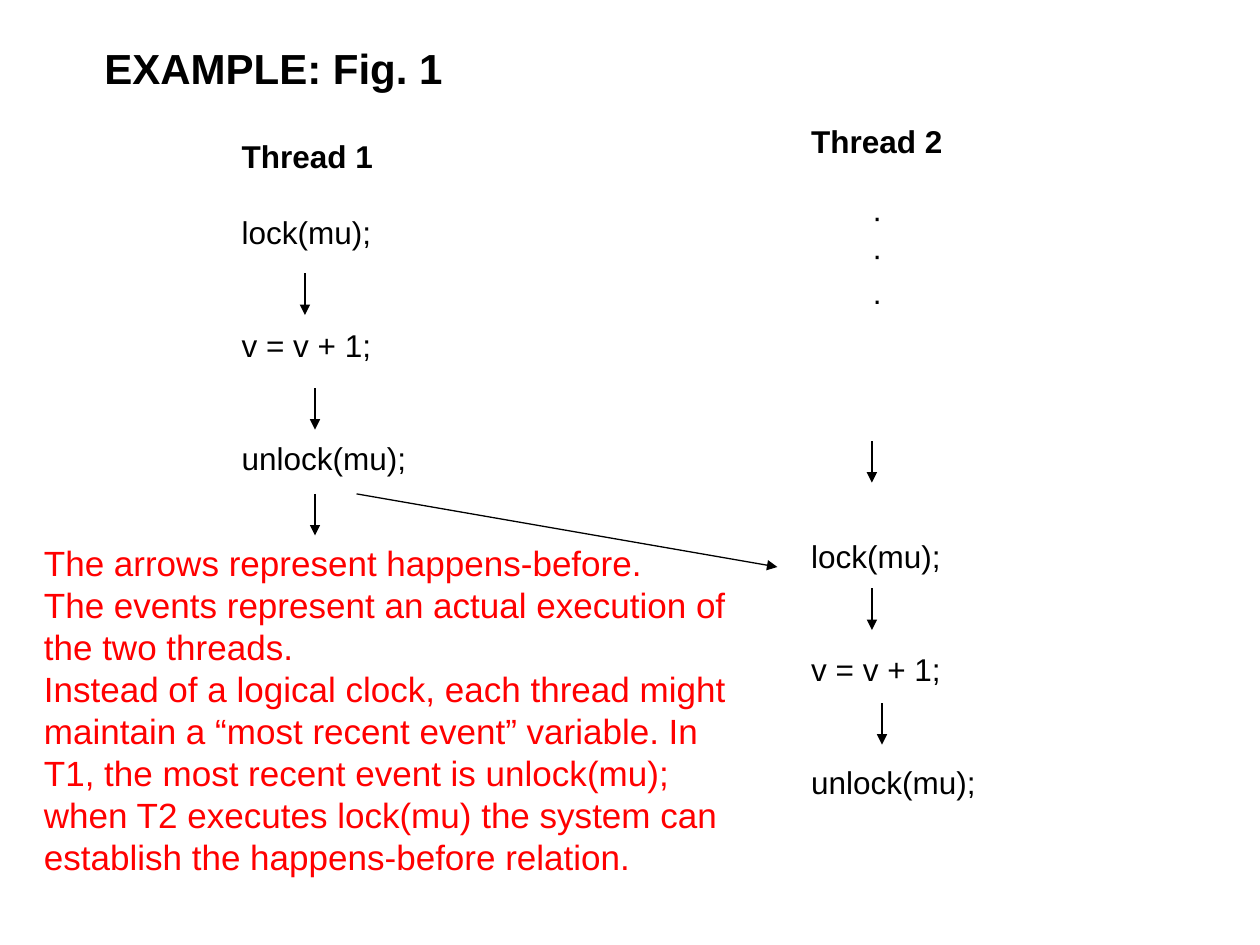
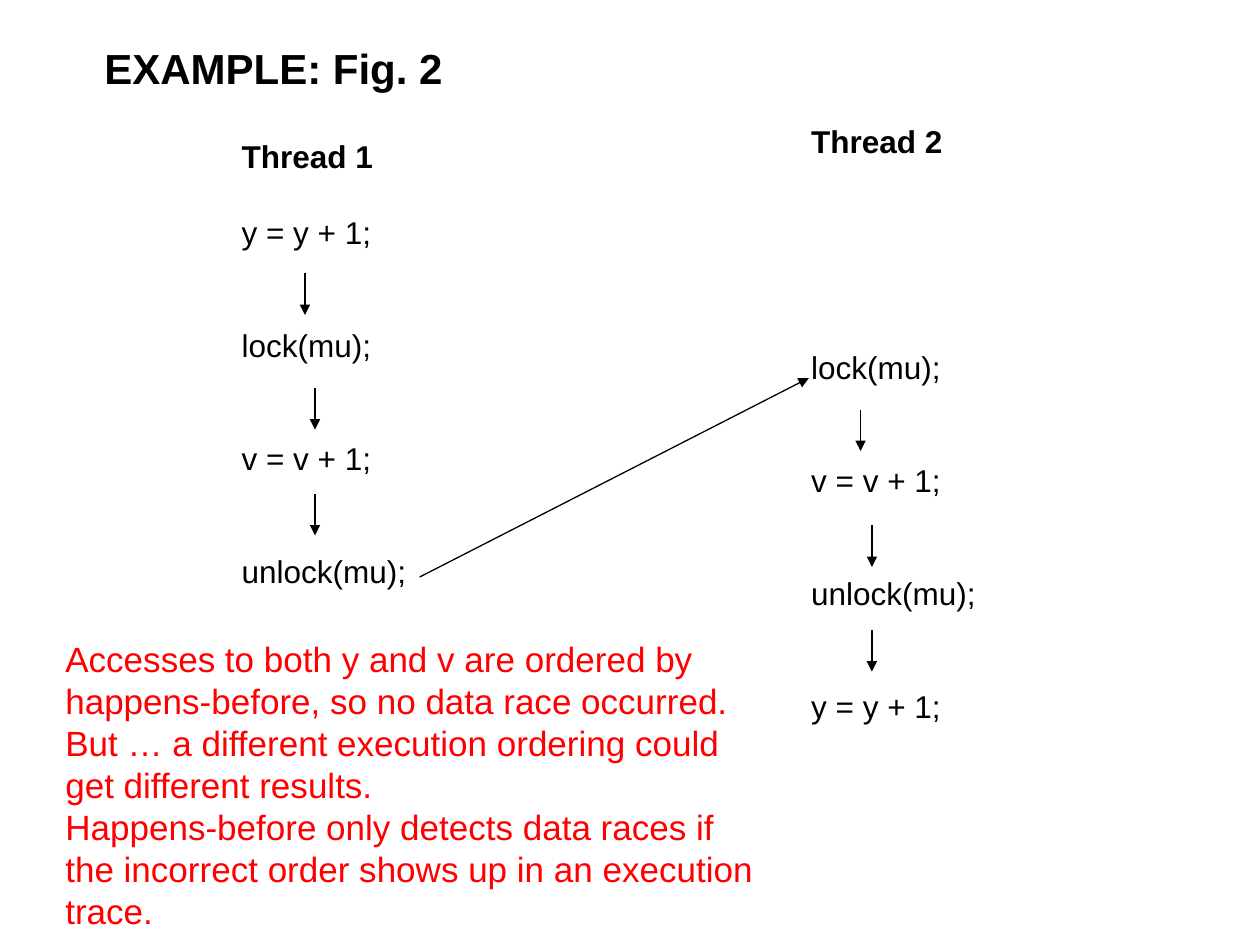
"""Build two slides showing happens-before order between two threads."""
from lxml import etree
from pptx import Presentation
from pptx.dml.color import RGBColor
from pptx.enum.shapes import MSO_CONNECTOR
from pptx.enum.text import MSO_AUTO_SIZE
from pptx.oxml.ns import qn
from pptx.util import Inches, Pt

STRAIGHT = MSO_CONNECTOR.STRAIGHT
NO_FIT = MSO_AUTO_SIZE.NONE
COLORS = {"ink": "000000", "note": "FF0000"}
FONT = "Arial"
LINE_GAP = 21.5
STEP_LENGTH = 0.33
DOT_INDENT = 0.49
THREAD_1 = (1.82, 1.04)
THREAD_2 = (6.34, 0.92)
LEFT_STEPS = [(2.42, 2.17), (2.5, 3.08), (2.5, 3.92)]


def add_text_box(slide, left, top, width, height):
    """Add an empty text box and return its text frame."""
    tf = slide.shapes.add_textbox(
        Inches(left), Inches(top), Inches(width), Inches(height)).text_frame
    tf.word_wrap = True
    tf.auto_size = NO_FIT
    return tf


def write_line(tf, text, size, color="ink", bold=False, gap=0, indent=0):
    """Write the next paragraph of a text frame."""
    p = tf.add_paragraph() if tf.text else tf.paragraphs[0]
    p.text = text
    if indent:
        p._p.get_or_add_pPr().set("marL", str(Inches(indent)))
    if gap:
        p.space_before = Pt(gap)
    p.font.name = FONT
    p.font.size = Pt(size)
    p.font.bold = bold
    p.font.color.rgb = RGBColor.from_string(COLORS[color])


def add_title(slide, text):
    """Add the slide title."""
    write_line(add_text_box(slide, 0.73, 0.29, 3.1, 0.5), text, 24, bold=True)


def add_thread(slide, name, position, height, statements, first_gap=1, dots=()):
    """Add a thread heading, its earlier events as dots, and its statements."""
    tf = add_text_box(slide, *position, 1.7, height)
    write_line(tf, name, 18, bold=True)
    for i, dot in enumerate(dots):
        write_line(tf, dot, 18, gap=0 if i else LINE_GAP, indent=DOT_INDENT)
    for i, statement in enumerate(statements):
        write_line(tf, statement, 18, gap=LINE_GAP * (2 if i else first_gap))


def add_note(slide, left, top, height, sentences):
    """Add the red explanation."""
    tf = add_text_box(slide, left, top, 5.75, height)
    for sentence in sentences:
        write_line(tf, sentence, 20, "note")


def add_arrow(slide, start, end):
    """Add a thin arrow from start to end."""
    sp = slide.shapes.add_connector(STRAIGHT, *map(Inches, (*start, *end)))
    sp.line.color.rgb = RGBColor.from_string(COLORS["ink"])
    sp.line.width = Pt(0.75)
    props = sp._element.spPr
    etree.SubElement(props.find(qn("a:ln")), qn("a:tailEnd"), type="triangle")
    etree.SubElement(props, qn("a:effectLst"))


def add_steps(slide, starts):
    """Add the short downward arrows within a thread."""
    for x, y in starts:
        add_arrow(slide, (x, y), (x, y + STEP_LENGTH))


def add_example(prs, number):
    """Add a titled blank slide with the steps of the first thread."""
    slide = prs.slides.add_slide(prs.slide_layouts[6])
    add_title(slide, f"EXAMPLE: Fig. {number}")
    add_steps(slide, LEFT_STEPS)
    return slide


def main():
    """Build and save the presentation."""
    prs = Presentation()
    prs.slide_width, prs.slide_height = Inches(10), Inches(7.5)
    critical = ["lock(mu);", "v = v + 1;", "unlock(mu);"]
    update = ["y = y + 1;"]

    slide = add_example(prs, 1)
    add_thread(slide, "Thread 1", THREAD_1, 2.8, critical)
    add_thread(slide, "Thread 2", THREAD_2, 5.5, critical, 6, "∙∙.")
    add_steps(slide, [(6.92, 3.5), (6.92, 4.67), (7, 5.58)])
    add_arrow(slide, (2.83, 3.92), (6.17, 4.5))
    add_note(slide, 0.25, 4.25, 3.1, [
        "The arrows represent happens-before.",
        "The events represent an actual execution of the two threads.",
        "Instead of a logical clock, each thread might maintain a “most recent "
        "event” variable. In T1, the most recent event is unlock(mu); when T2 "
        "executes lock(mu) the system can establish the happens-before relation."])

    slide = add_example(prs, 2)
    add_thread(slide, "Thread 1", THREAD_1, 3.7, update + critical)
    add_thread(slide, "Thread 2", THREAD_2, 4.9, critical + update, 5)
    add_steps(slide, [(6.83, 3.25), (6.92, 4.17), (6.92, 5)])
    add_arrow(slide, (3.33, 4.58), (6.42, 3))
    add_note(slide, 0.42, 5.01, 2.77, [
        "Accesses to both y and v are ordered by happens-before, so no data race "
        "occurred.",
        "But … a different execution ordering could get different results.",
        "Happens-before only detects data races if the incorrect order shows up "
        "in an execution trace."])

    prs.save("out.pptx")


if __name__ == "__main__":
    main()
